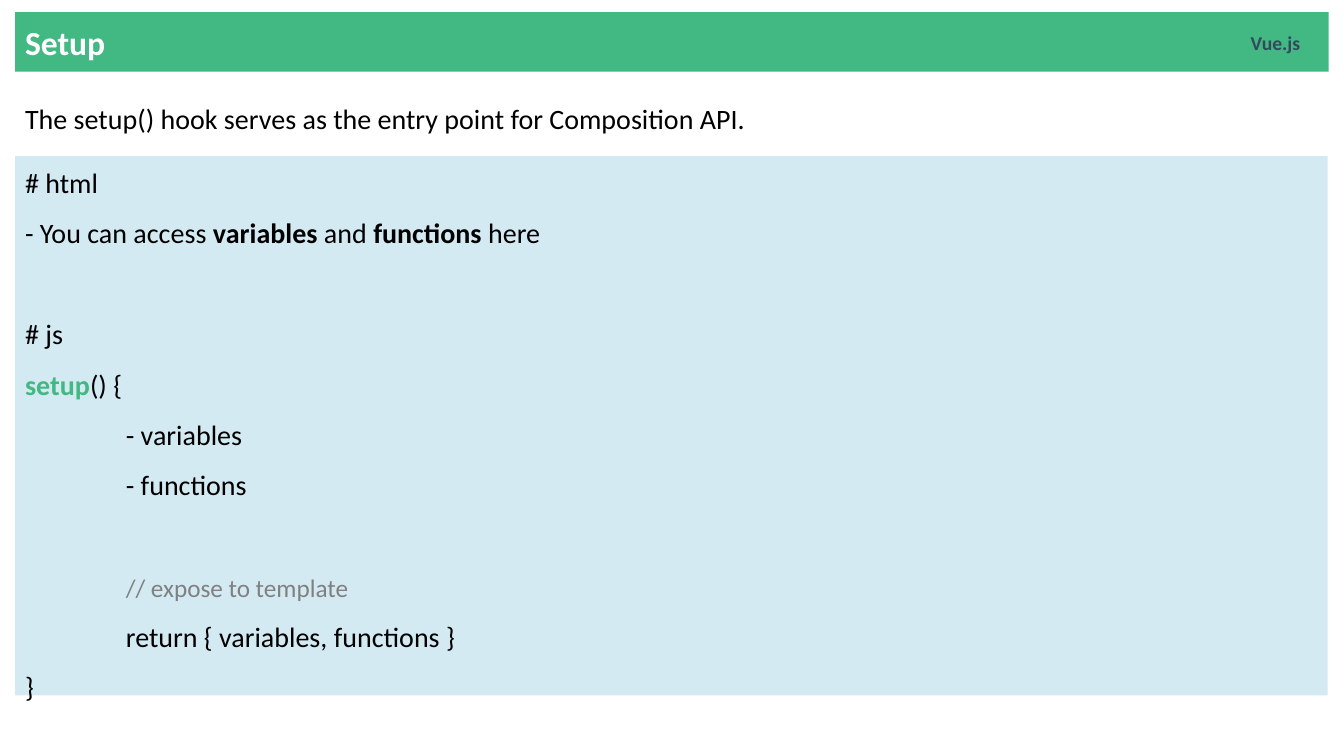
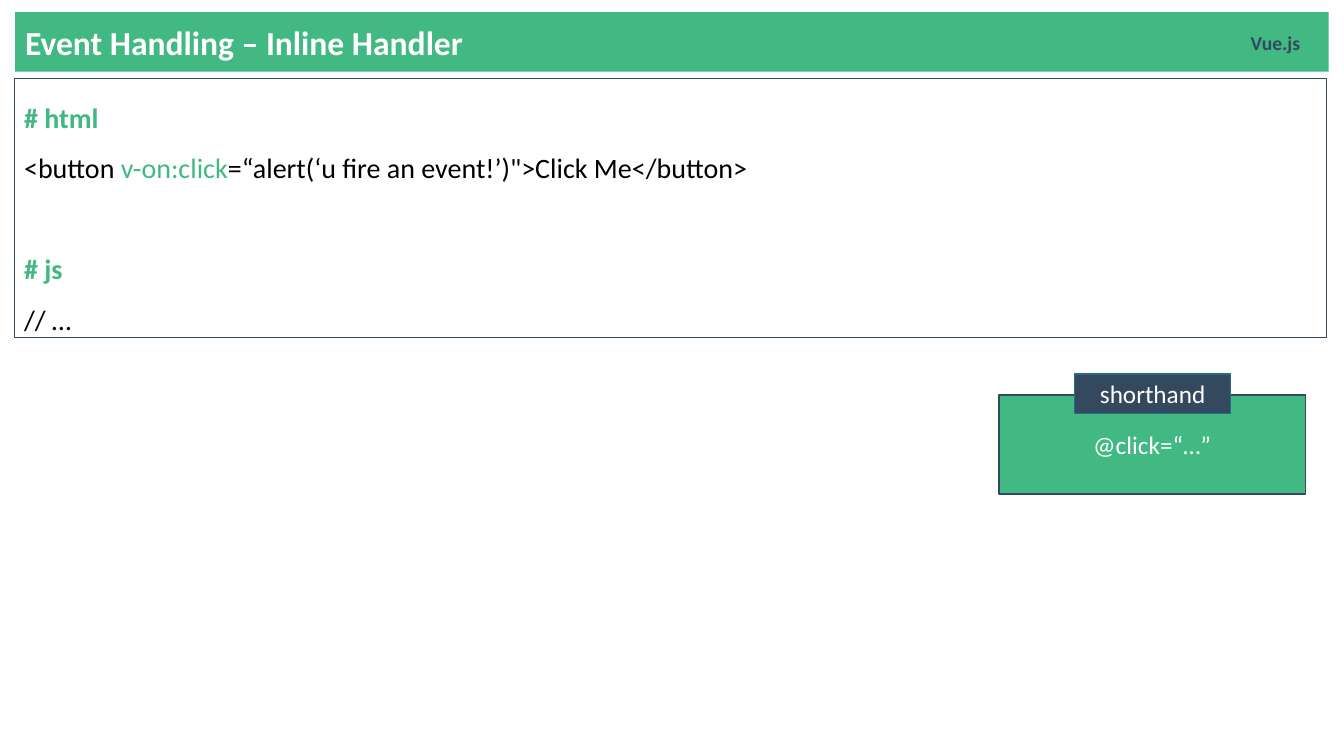
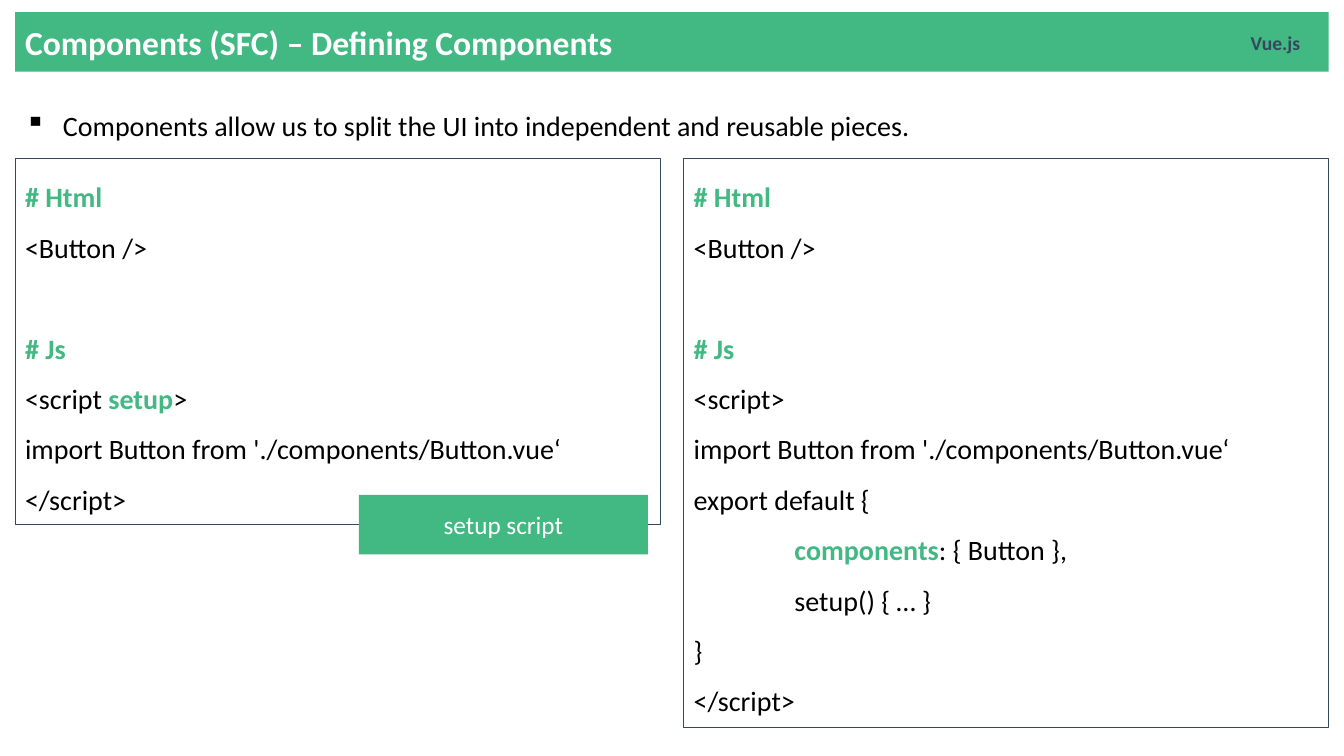
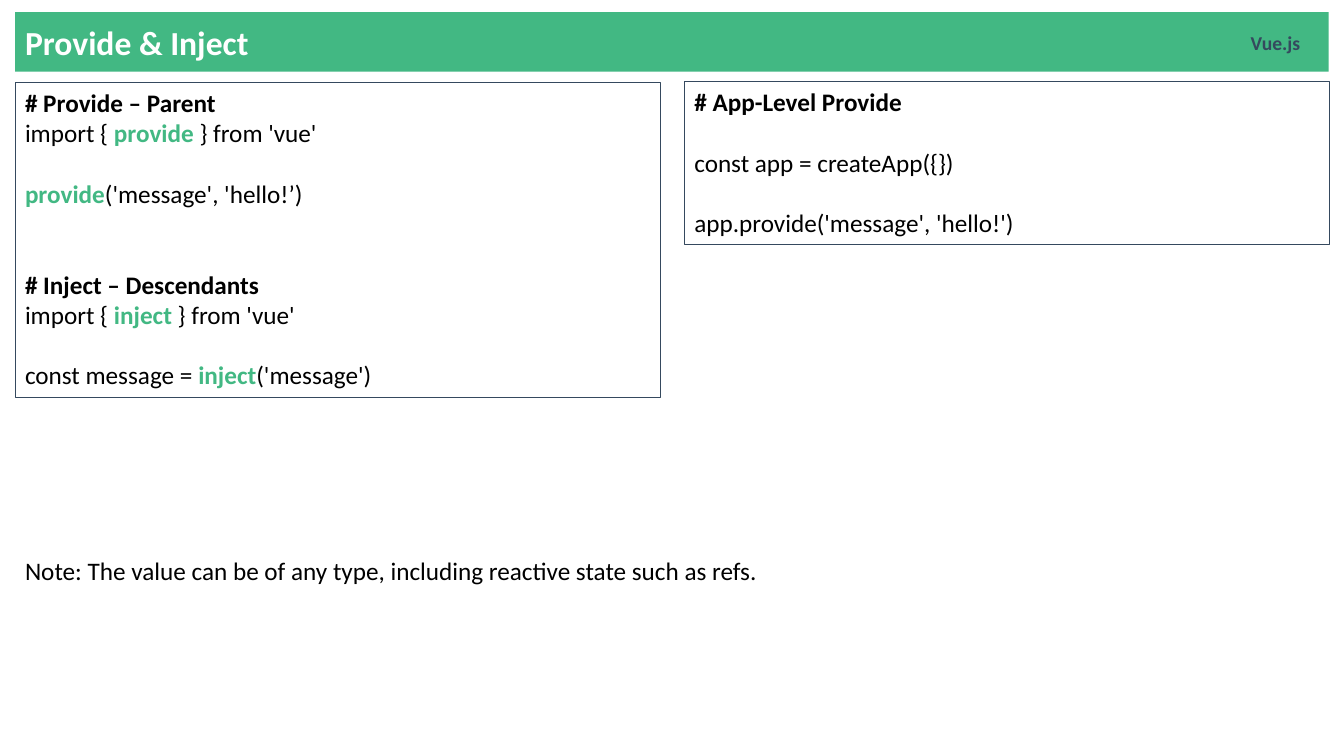
from dataclasses import dataclass
from typing import Optional

from lxml.etree import SubElement
from pptx import Presentation
from pptx.dml.color import RGBColor
from pptx.enum.shapes import MSO_SHAPE
from pptx.enum.text import MSO_ANCHOR as Anchor, PP_ALIGN as Align
from pptx.oxml.ns import qn
from pptx.slide import Slide
from pptx.util import Pt

# Shared style
FONT = "Calibri"
GREEN = RGBColor(0x42, 0xB8, 0x83)
NAVY = RGBColor(0x35, 0x49, 0x5E)
TEAL = RGBColor(0x26, 0x6D, 0x8A)
PALE_BLUE = RGBColor(0xD4, 0xEA, 0xF3)
GRAY = RGBColor(0x80, 0x80, 0x80)
BLACK = RGBColor(0, 0, 0)
WHITE = RGBColor(0xFF, 0xFF, 0xFF)

LEFT, WIDE, HALF = 10.8, 937.5, 460.8
RIGHT_COL = 488.4
TAB = 72
ROW_20 = 36      # height of a 20 pt line at 1.5 spacing
ROW_18 = 21.6    # height of an 18 pt line at single spacing


@dataclass
class Span:
    text: str
    color: RGBColor = BLACK
    bold: bool = False
    size: Optional[float] = None


@dataclass
class Line:
    spans: list[Span]
    gap: float = 0
    indent: float = 0
    bullet: str = ""


@dataclass
class Box:
    left: float
    top: float
    width: float
    height: float
    fill: Optional[RGBColor] = None
    border: Optional[RGBColor] = None
    weight: float = 0.75


@dataclass
class Style:
    size: float = 20
    spacing: float = 1.5
    align: Align = Align.LEFT
    anchor: Anchor = Anchor.TOP


CODE = Style()
CODE_MIDDLE = Style(anchor=Anchor.MIDDLE)
COMPACT = Style(18, 1)
TAG = Style(18, 1, Align.CENTER, Anchor.MIDDLE)
TITLE = Style(24, 1, anchor=Anchor.MIDDLE)
LABEL = Style(14, 1, anchor=Anchor.MIDDLE)


def plain(text: str, gap: float = 0, indent: float = 0) -> Line:
    return Line([Span(text)], gap, indent)


def heading(text: str, color: RGBColor = GREEN, gap: float = 0) -> Line:
    return Line([Span(text, color, True)], gap)


def key(text: str) -> Span:
    return Span(text, GREEN, True)


def add_box(s: Slide, box: Box, lines: list[Line], style: Style) -> None:
    """Draw a box, or a bare text box when it has neither fill nor border."""
    place = [Pt(v) for v in (box.left, box.top, box.width, box.height)]
    if box.fill is None and box.border is None:
        sp = s.shapes.add_textbox(*place)
    else:
        sp = s.shapes.add_shape(MSO_SHAPE.RECTANGLE, *place)
        sp.shadow.inherit = False
        if box.fill is None:
            sp.fill.background()
        else:
            sp.fill.solid()
            sp.fill.fore_color.rgb = box.fill
        if box.border is None:
            sp.line.fill.background()
        else:
            sp.line.color.rgb = box.border
            sp.line.width = Pt(box.weight)
    tf = sp.text_frame
    tf.word_wrap = True
    tf.vertical_anchor = style.anchor
    for i, line in enumerate(lines):
        p = tf.add_paragraph() if i else tf.paragraphs[0]
        p.alignment = style.align
        p.line_spacing = style.spacing
        p.space_before = Pt(line.gap)
        pPr = p._p.get_or_add_pPr()
        if line.indent:
            pPr.set("marL", str(Pt(line.indent)))
        if line.bullet:
            pPr.set("indent", str(-Pt(line.indent)))
            SubElement(pPr, qn("a:buChar")).set("char", line.bullet)
        for span in line.spans:
            r = p.add_run()
            r.text = span.text
            r.font.name = FONT
            r.font.size = Pt(span.size or style.size)
            r.font.bold = span.bold
            r.font.color.rgb = span.color


def add_tag(s: Slide, box: Box, text: str) -> None:
    add_box(s, box, [Line([Span(text, WHITE)])], TAG)


prs = Presentation()
prs.slide_width, prs.slide_height = Pt(960), Pt(540)


def new_slide(title: str) -> Slide:
    """Add a slide with the title band and topic label."""
    s = prs.slides.add_slide(prs.slide_layouts[6])
    add_box(s, Box(LEFT, 8.6, 938.2, 42.6, GREEN), [heading(title, WHITE)], TITLE)
    add_box(s, Box(886.3, 16, 53.5, 28.8), [heading("Vue.js", NAVY)], LABEL)
    return s


# Setup
s = new_slide("Setup")
add_box(s, Box(LEFT, 56.9, WIDE, 39.6),
        [plain("The setup() hook serves as the entry point for Composition API.")], CODE)
add_box(s, Box(LEFT, 111.6, WIDE, 385.2, PALE_BLUE), [
    plain("# html"),
    Line([Span("- You can access "), Span("variables", bold=True), Span(" and "),
          Span("functions", bold=True), Span(" here")]),
    plain("# js", ROW_20),
    Line([key("setup"), Span("() {")]),
    plain("- variables", indent=TAB),
    plain("- functions", indent=TAB),
    Line([Span("// expose to template", GRAY, size=18)], ROW_20 + 3.6, TAB),
    plain("return { variables, functions }", indent=TAB),
    plain("}"),
], CODE_MIDDLE)

# Event handling
s = new_slide("Event Handling – Inline Handler")
add_box(s, Box(10.1, 56.2, WIDE, 185, border=NAVY, weight=0.25), [
    heading("# html"),
    Line([Span("<button "), Span("v-on:click", GREEN),
          Span("=“alert(‘u fire an event!’)\">Click Me</button>")]),
    heading("# js", gap=ROW_20),
    plain("// …"),
], CODE)
add_tag(s, Box(713.5, 282.2, 219, 70.6, GREEN, NAVY, 1), "@click=“…”")
add_tag(s, Box(767.5, 267.1, 111.6, 28.1, NAVY, TEAL, 1), "shorthand")

# Components
s = new_slide("Components (SFC) – Defining Components")
add_box(s, Box(LEFT, 61.9, WIDE, 39.6), [
    Line([Span("Components allow us to split the UI into independent and reusable pieces.")],
         indent=27, bullet="▪"),
], CODE)
html_part = [heading("# Html"), plain("<Button />"), heading("# Js", gap=ROW_20)]
import_line = plain("import Button from './components/Button.vue‘")
script_end = plain("</script>")
add_box(s, Box(LEFT, 113, HALF, 262, border=NAVY), [
    *html_part,
    Line([Span("<script "), key("setup"), Span(">")]),
    import_line,
    script_end,
], CODE)
add_box(s, Box(RIGHT_COL, 113, HALF, 406.8, border=NAVY), [
    *html_part,
    plain("<script>"),
    import_line,
    plain("export default {"),
    Line([key("components"), Span(": { Button },")], indent=TAB),
    plain("setup() { … }", indent=TAB),
    plain("}"),
    script_end,
], CODE)
add_tag(s, Box(256.3, 353.5, 206.6, 42.5, GREEN), "setup script")

# Provide and inject
s = new_slide("Provide & Inject")
add_box(s, Box(LEFT, 59, HALF, 225.2, border=NAVY), [
    heading("# Provide – Parent", BLACK),
    Line([Span("import { "), key("provide"), Span(" } from 'vue'")]),
    Line([key("provide"), Span("('message', 'hello!’)")], ROW_18),
    heading("# Inject – Descendants", BLACK, 2 * ROW_18),
    Line([Span("import { "), key("inject"), Span(" } from 'vue'")]),
    Line([Span("const message = "), key("inject"), Span("('message')")], ROW_18),
], COMPACT)
add_box(s, Box(RIGHT_COL + 0.5, 58.4, HALF, 116.6, border=NAVY), [
    heading("# App-Level Provide", BLACK),
    plain("const app = createApp({})", ROW_18),
    plain("app.provide('message', 'hello!')", ROW_18),
], COMPACT)
add_box(s, Box(LEFT, 393.1, 938.2, 28.8), [
    plain("Note: The value can be of any type, including reactive state such as refs."),
], COMPACT)

prs.save("out.pptx")
